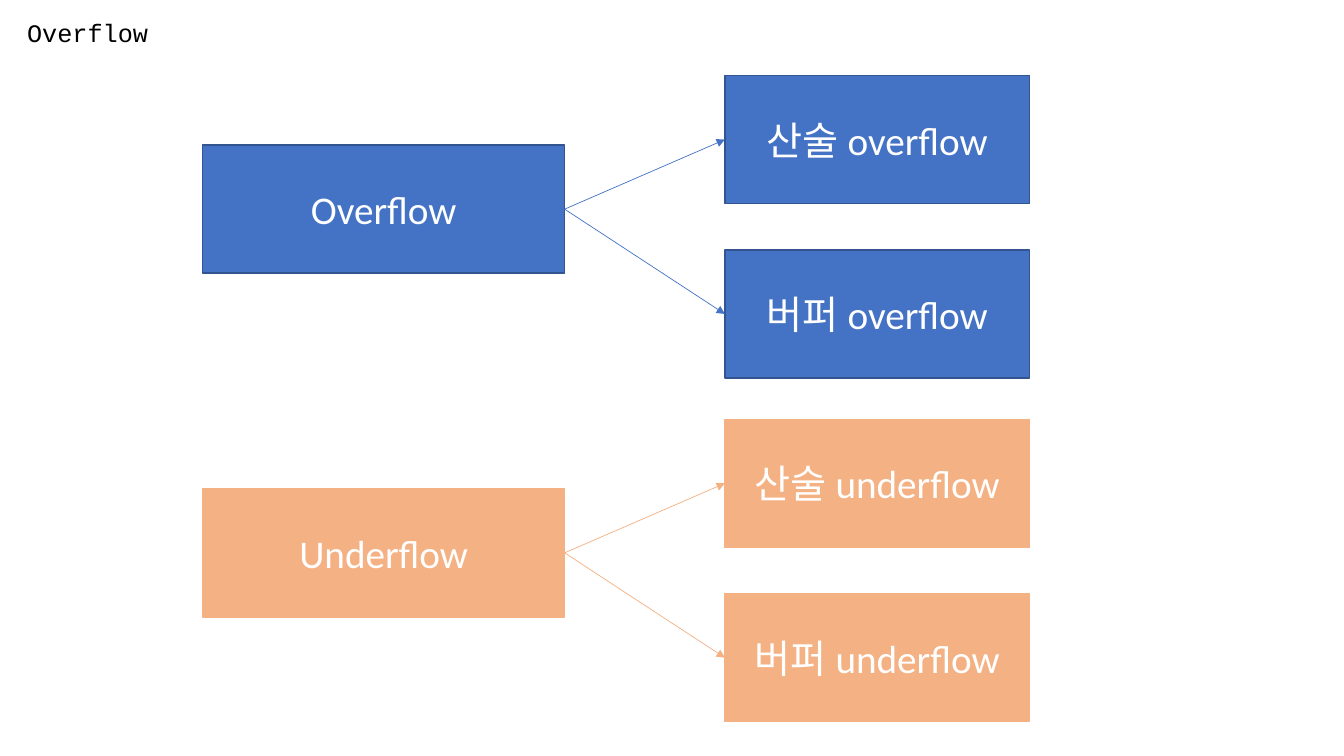
from dataclasses import dataclass

from lxml import etree
from pptx import Presentation, util as u
from pptx.dml.color import RGBColor
from pptx.enum import shapes, text
from pptx.oxml.ns import qn

PX = 9144  # EMU per px, 100 px to the inch


@dataclass(frozen=True)
class Theme:
    blue: str = "4472C4"
    navy: str = "325491"
    peach: str = "F4B183"
    white: str = "FFFFFF"
    black: str = "000000"
    body: str = "Calibri"
    mono: str = "Courier New"
    head: int = 18
    label: int = 28
    edge: float = 1
    thin: float = 0.5


def write(frame, words, *, font, size, color, align=text.PP_ALIGN.LEFT,
          anchor=text.MSO_ANCHOR.TOP, wrap=True):
    frame.word_wrap = wrap
    frame.vertical_anchor = anchor
    para = frame.paragraphs[0]
    para.alignment = align
    run = para.add_run()
    run.text = words
    run.font.name = font
    run.font.size = u.Pt(size)
    run.font.color.rgb = RGBColor.from_string(color)


class Deck:
    def __init__(self, theme, wide, high):
        self.theme = theme
        self.prs = Presentation()
        self.prs.slide_width = wide * PX
        self.prs.slide_height = high * PX
        self.slide = self.prs.slides.add_slide(self.prs.slide_layouts[6])

    def title(self, words, x, y, w, h):
        t = self.theme
        box = self.slide.shapes.add_textbox(x * PX, y * PX, w * PX, h * PX)
        write(box.text_frame, words, font=t.mono, size=t.head,
              color=t.black, wrap=False)
        box.text_frame.auto_size = text.MSO_AUTO_SIZE.SHAPE_TO_FIT_TEXT

    def box(self, words, x, y, w, h, fill, edge):
        t = self.theme
        box = self.slide.shapes.add_shape(
            shapes.MSO_SHAPE.RECTANGLE, x * PX, y * PX, w * PX, h * PX)
        box.shadow.inherit = False
        box.fill.solid()
        box.fill.fore_color.rgb = RGBColor.from_string(fill)
        box.line.color.rgb = RGBColor.from_string(edge)
        box.line.width = u.Pt(t.edge)
        write(box.text_frame, words, font=t.body, size=t.label, color=t.white,
              align=text.PP_ALIGN.CENTER, anchor=text.MSO_ANCHOR.MIDDLE)
        return box

    def arrow(self, start, end, color):
        link = self.slide.shapes.add_connector(
            shapes.MSO_CONNECTOR.STRAIGHT, 0, 0, 0, 0)
        # Rectangle sites: 1 is the left side, 3 the right
        link.begin_connect(start, 3)
        link.end_connect(end, 1)
        link.line.color.rgb = RGBColor.from_string(color)
        link.line.width = u.Pt(self.theme.thin)
        tail = etree.SubElement(link.line._get_or_add_ln(), qn("a:tailEnd"))
        tail.set("type", "triangle")
        etree.SubElement(link._element.spPr, qn("a:effectLst"))

    def tree(self, root, kids, top, fill, edge):
        high, step = 127, 173
        start = self.box(root, 201, top + 69, 359, high, fill, edge)
        ends = [self.box(kid, 719, top + i * step, 302, high, fill, edge)
                for i, kid in enumerate(kids)]
        for end in ends:
            self.arrow(start, end, fill)


def main():
    theme = Theme()
    deck = Deck(theme, 1333, 750)

    # Heading
    deck.title("Overflow", 17, 12, 142, 40)

    # Each error with its two kinds
    for root, top, fill, edge in (
            ("Overflow", 75, theme.blue, theme.navy),
            ("Underflow", 416, theme.peach, theme.peach)):
        kids = [f"{kind} {root.lower()}" for kind in ("산술", "버퍼")]
        deck.tree(root, kids, top, fill, edge)

    deck.prs.save("out.pptx")


if __name__ == "__main__":
    main()
